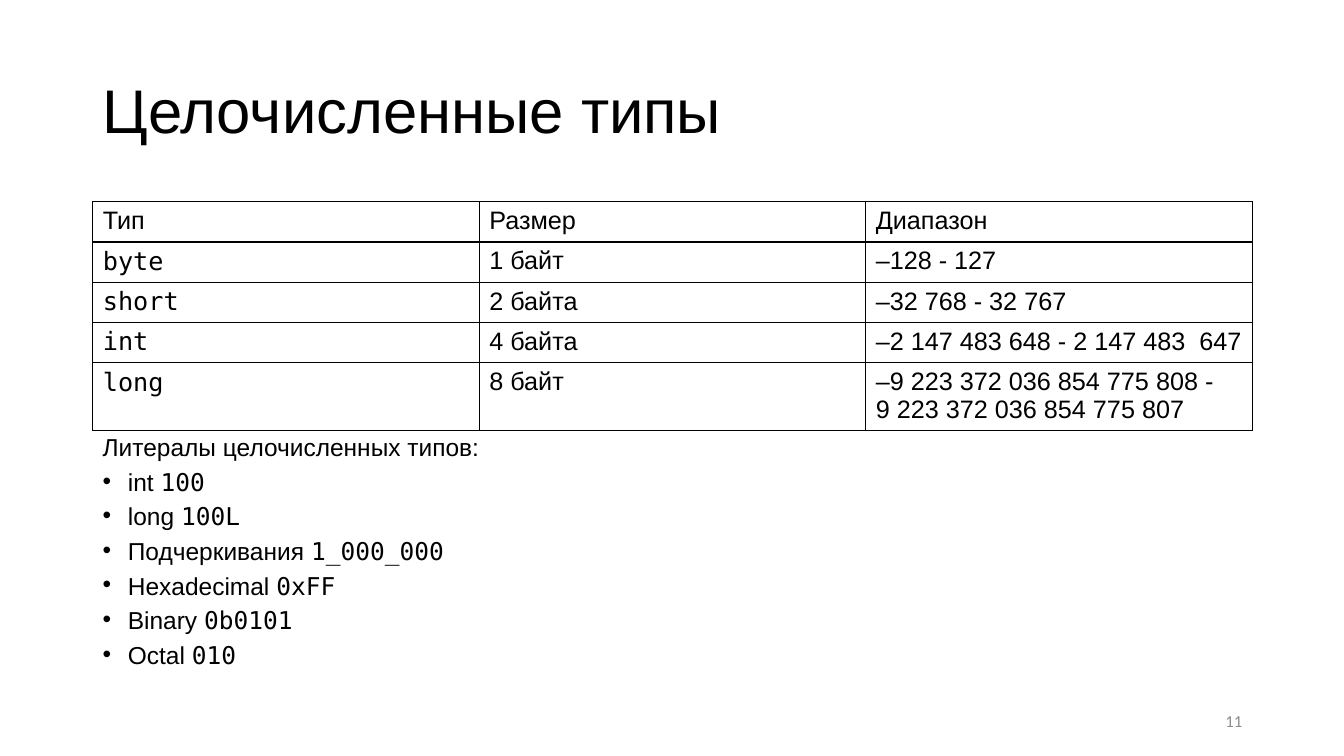
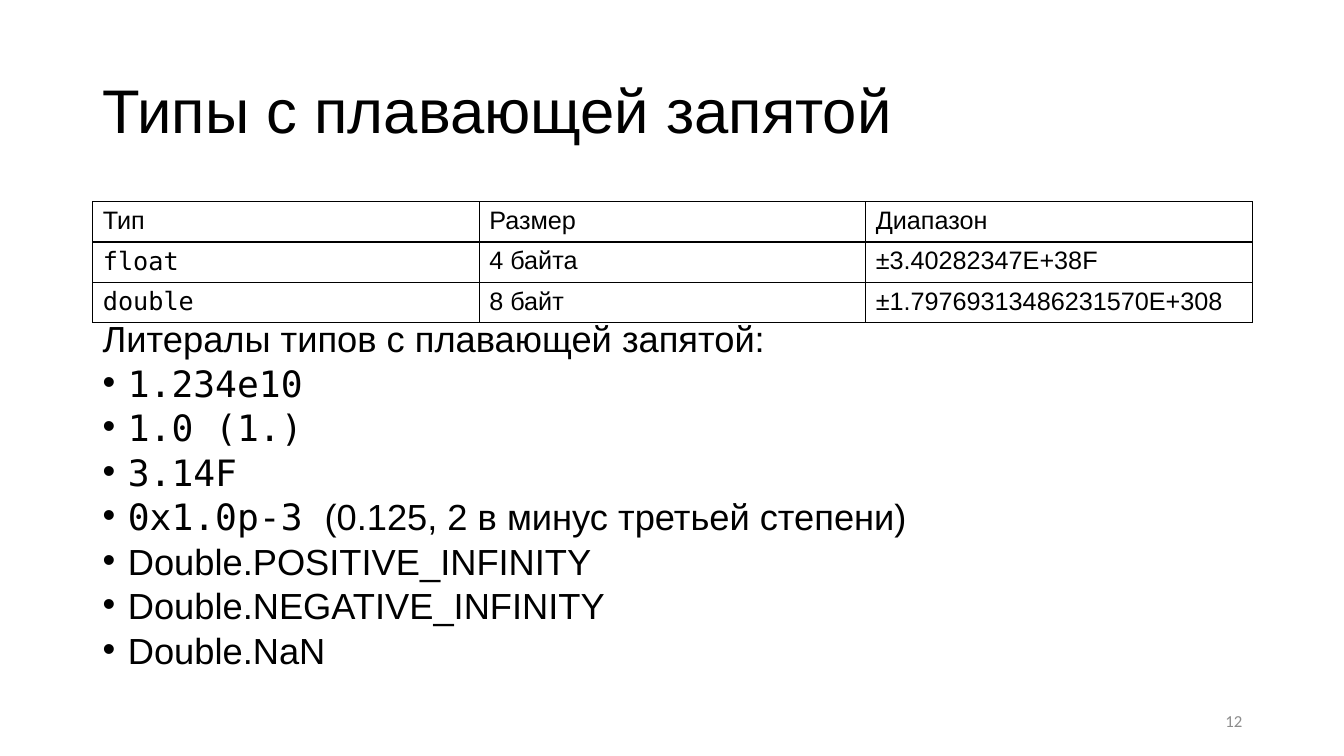
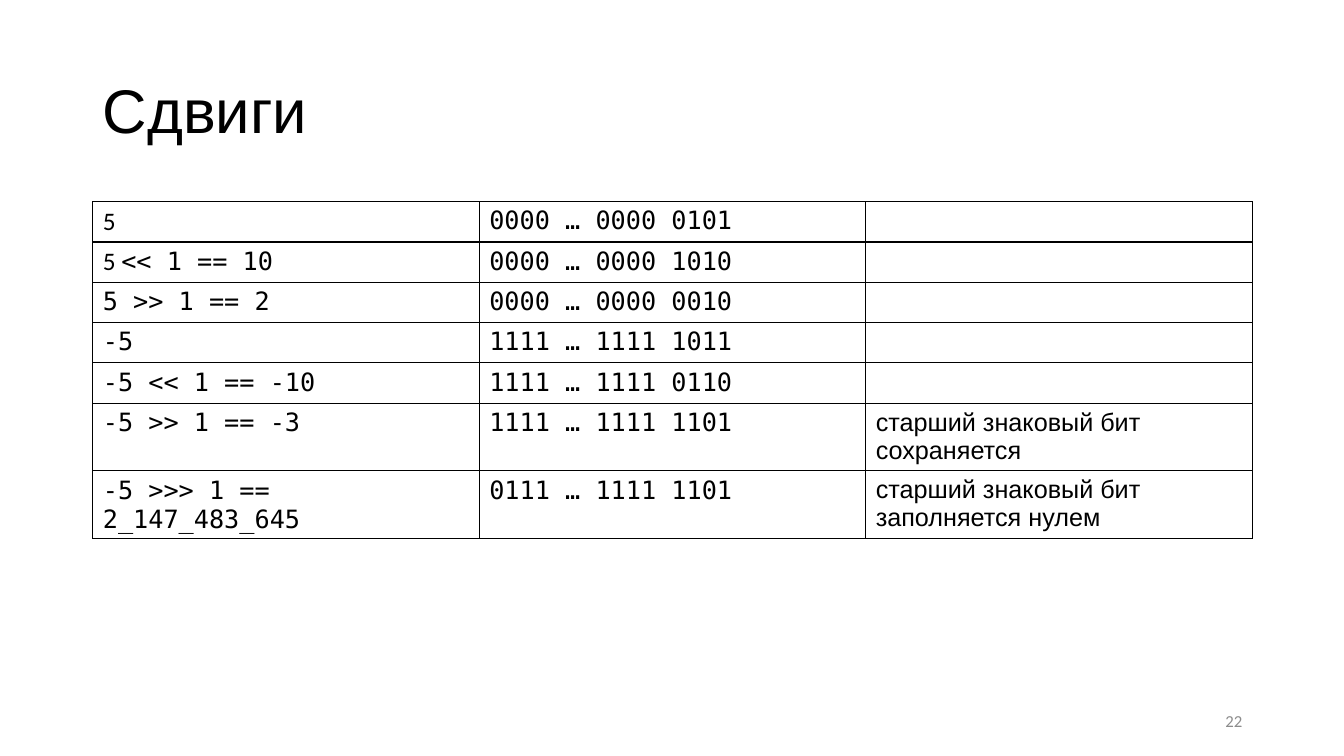
from lxml import etree
from pptx import Presentation
from pptx.dml.color import RGBColor
from pptx.enum.text import MSO_ANCHOR, PP_ALIGN
from pptx.oxml.ns import qn
from pptx.util import Inches, Pt

MIDDLE, TOP = MSO_ANCHOR.MIDDLE, MSO_ANCHOR.TOP
RIGHT = PP_ALIGN.RIGHT
COLORS = {"text": "000000", "border": "000000", "number": "8C8C8C"}
SANS, MONO, NUMBER_FONT = "Arial", "DejaVu Sans Mono", "Calibri"
LEFT, WIDTH, TABLE_TOP = 0.92, 11.5, 2
ROW_HEIGHT, TALL_ROW_HEIGHT = 0.4, 0.67
COLUMN_COUNT = 3
HEADER = [[(SANS, "Тип")], [(SANS, "Размер")], [(SANS, "Диапазон")]]


def write(paragraph, spans, size, color="text"):
    """Fill a paragraph with (font, text) spans; a newline is a line break."""
    paragraph.font.size = Pt(size)
    paragraph.font.color.rgb = RGBColor.from_string(COLORS[color])
    paragraph.font.name = spans[0][0]
    for font, text in spans:
        for index, line in enumerate(text.split("\n")):
            if index:
                paragraph.add_line_break()
            span = paragraph.add_run()
            span.text = line
            if font != spans[0][0]:
                span.font.name = font


def add_frame(page, left, top, width, height, anchor):
    """Add a wrapping text box and return its text frame."""
    frame = page.shapes.add_textbox(
        Inches(left), Inches(top), Inches(width), Inches(height)).text_frame
    frame.word_wrap = True
    frame.vertical_anchor = anchor
    return frame


integer_rows = [HEADER] + [
    [[(MONO, name)], [(SANS, size)], [(SANS, limits)]]
    for name, size, limits in [
        ("byte", "1 байт", "–128 - 127"),
        ("short", "2 байта", "–32 768 - 32 767"),
        ("int", "4 байта", "–2 147 483 648 - 2 147 483  647"),
        ("long", "8 байт",
         "–9 223 372 036 854 775 808 - \n9 223 372 036 854 775 807"),
    ]
]
integer_literals = [
    [(SANS, label + " "), (MONO, literal)]
    for label, literal in [
        ("int", "100"), ("long", "100L"), ("Подчеркивания", "1_000_000"),
        ("Hexadecimal", "0xFF"), ("Binary", "0b0101"), ("Octal", "010"),
    ]
]
float_rows = [HEADER] + [
    [[(MONO, name)], [(SANS, size)], [(SANS, limits)]]
    for name, size, limits in [
        ("float", "4 байта", "±3.40282347E+38F"),
        ("double", "8 байт", "±1.79769313486231570E+308"),
    ]
]
float_literals = [[(MONO, text)] for text in ("1.234e10", "1.0 (1.)", "3.14F")]
float_literals.append(
    [(MONO, "0x1.0p-3\u00a0"), (SANS, "(0.125, 2 в минус третьей степени)")])
float_literals += [
    [(SANS, "Double." + name)]
    for name in ("POSITIVE_INFINITY", "NEGATIVE_INFINITY", "NaN")
]
shift_rows = [
    [[(NUMBER_FONT, "5")], [(MONO, "0000 … 0000 0101")], []],
    [[(NUMBER_FONT, "5 "), (MONO, "<< 1 == 10")],
     [(MONO, "0000 … 0000 1010")], []],
] + [
    [[(MONO, shift)], [(MONO, bits)], [(SANS, remark)] if remark else []]
    for shift, bits, remark in [
        ("5 >> 1 == 2", "0000 … 0000 0010", ""),
        ("-5", "1111 … 1111 1011", ""),
        ("-5 << 1 == -10", "1111 … 1111 0110", ""),
        ("-5 >> 1 == -3", "1111 … 1111 1101",
         "старший знаковый бит сохраняется"),
        ("-5 >>> 1 == 2_147_483_645", "0111 … 1111 1101",
         "старший знаковый бит заполняется нулем"),
    ]
]

# Title, page number, table rows, count of two-line rows at the table's end,
# then body: top, height, size, intro, bullets
PAGES = [
    ("Целочисленные типы", "11", integer_rows, 1,
     (4.32, 2.44, 17.5, "Литералы целочисленных типов:", integer_literals)),
    ("Типы с плавающей запятой", "12", float_rows, 0,
     (3.21, 3.54, 25.9, "Литералы типов с плавающей запятой:",
      float_literals)),
    ("Сдвиги", "22", shift_rows, 2, None),
]

deck = Presentation()
deck.slide_width, deck.slide_height = Inches(13.33), Inches(7.5)

for title, number, rows, tall_count, body in PAGES:
    page = deck.slides.add_slide(deck.slide_layouts[6])

    title_para = add_frame(page, LEFT, 0.4, WIDTH, 1.45, MIDDLE).paragraphs[0]
    title_para.line_spacing = 0.9
    write(title_para, [(SANS, title)], 44)

    if body:
        top, height, size, intro, bullets = body
        frame = add_frame(page, LEFT, top, WIDTH, height, TOP)
        for index, spans in enumerate([[(SANS, intro)]] + bullets):
            para = frame.add_paragraph() if index else frame.paragraphs[0]
            para.line_spacing = 0.7
            para.space_before = Pt(10)
            if index:
                properties = para._p.get_or_add_pPr()
                properties.set("marL", str(Inches(0.25)))
                properties.set("indent", str(Inches(-0.25)))
                etree.SubElement(properties, qn("a:buFont"), typeface=SANS)
                etree.SubElement(properties, qn("a:buChar"), char="•")
            write(para, spans, size)

    table = page.shapes.add_table(
        len(rows), COLUMN_COUNT, Inches(LEFT), Inches(TABLE_TOP),
        Inches(WIDTH), Inches(ROW_HEIGHT * len(rows))).table
    table.first_row = table.horz_banding = False
    for row_index, row in enumerate(rows):
        is_tall = row_index >= len(rows) - tall_count
        table.rows[row_index].height = Inches(
            TALL_ROW_HEIGHT if is_tall else ROW_HEIGHT)
        for column_index, spans in enumerate(row):
            cell = table.cell(row_index, column_index)
            cell.margin_bottom = Inches(0.02)
            cell.fill.background()
            cell_properties = cell._tc.get_or_add_tcPr()
            for index, side in enumerate(("lnL", "lnR", "lnT", "lnB")):
                border = etree.Element(qn("a:" + side), w=str(Pt(1)))
                fill = etree.SubElement(border, qn("a:solidFill"))
                etree.SubElement(fill, qn("a:srgbClr"), val=COLORS["border"])
                cell_properties.insert(index, border)
            if spans:
                write(cell.text_frame.paragraphs[0], spans, 18)

    number_para = add_frame(page, 9.42, 6.95, 3, 0.4, MIDDLE).paragraphs[0]
    number_para.alignment = RIGHT
    write(number_para, [(NUMBER_FONT, number)], 12, "number")

deck.save("out.pptx")
